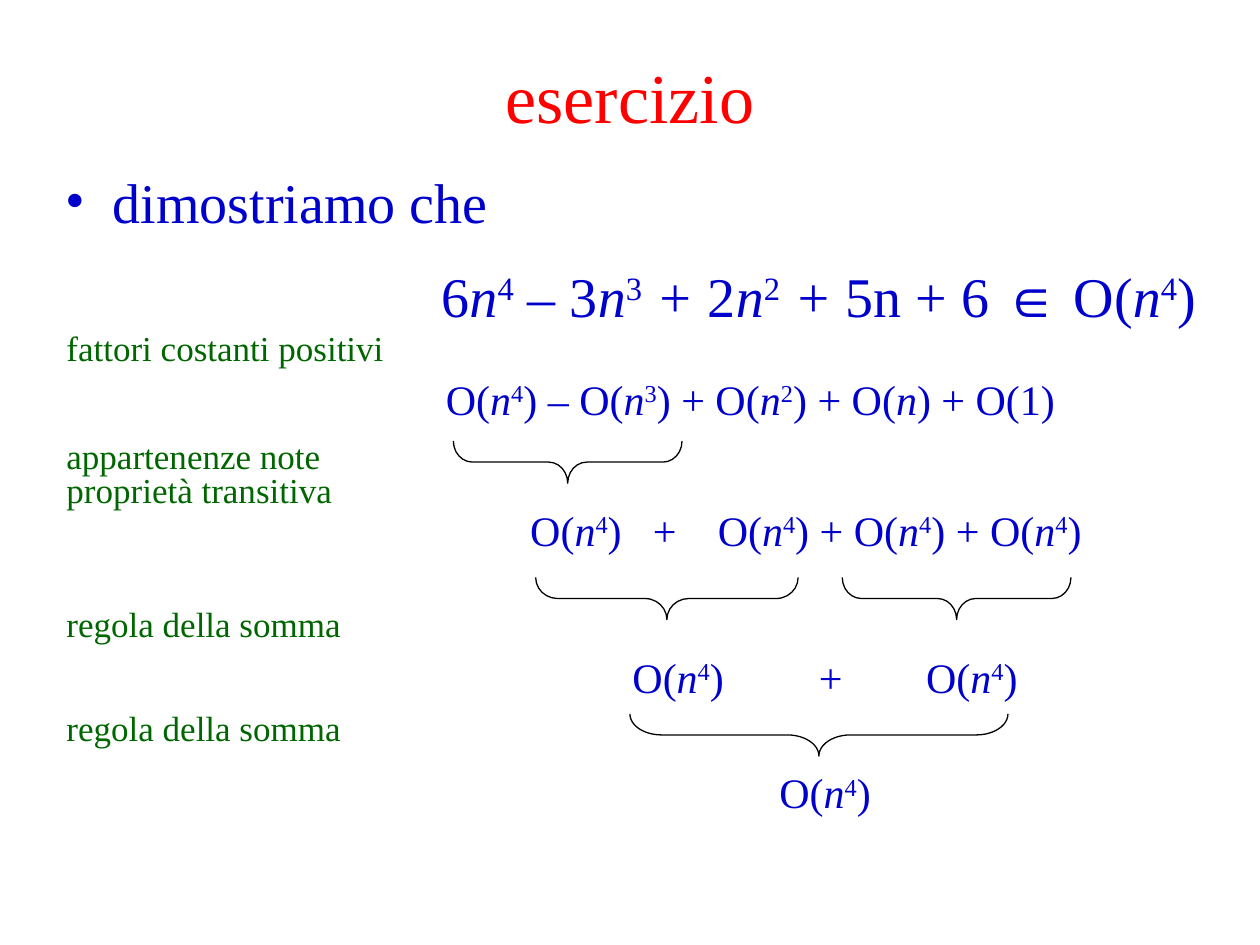
import pptx
import pptx.dml.color
import pptx.enum.shapes
import pptx.enum.text
import pptx.oxml.ns
import pptx.util
from lxml import etree

Cm, Pt = pptx.util.Cm, pptx.util.Pt
ALIGN = pptx.enum.text.PP_ALIGN

COLORS = {"title": "FF0000", "formula": "0000CC", "note": "006600", "brace": "000000"}
FONT = "Times New Roman"
TITLE = "esercizio"
STATEMENT = "dimostriamo che"
CLAIM = "6|n^4| – 3|n^3| + |2|n^2| + |5n + 6 |∈| O(|n^4|)"
ITALIC = ("n", " + ")

# left, top, width, tab stops, text
FORMULAS = [
    (8.74, 7.51, 12.78, (), "O(|n^4|) – O(|n^3|) + O(|n^2|) + O(|n|) + O(1)"),
    (10.44, 10.16, 11.63, (2.47, 3.78), "O(|n^4|)\t+\tO(|n^4|) + O(|n^4|) + O(|n^4|)"),
    (12.5, 13.12, 8.26, (3.76, 5.92), "O(|n^4|)\t+\tO(|n^4|)"),
    (15.46, 15.45, 2.34, (), "O(|n^4|)"),
]
# top, height, line spacing, lines
NOTES = [
    (6.56, 1.02, 0.9, ["fattori costanti positivi"]),
    (8.93, 1.45, 0.6, ["appartenenze note", "proprietà transitiva"]),
    (12.12, 1.02, 0.9, ["regola della somma"]),
    (14.22, 1.02, 0.9, ["regola della somma"]),
]
# left, top, length
BRACES = [(9.14, 8.89, 4.61), (10.8, 11.64, 5.29), (16.98, 11.64, 4.61), (12.7, 14.39, 7.62)]
BRACE_DEPTH = 0.85


def rgb(name):
    """Return the named colour."""
    return pptx.dml.color.RGBColor.from_string(COLORS[name])


def add_element(parent, tag, **attributes):
    """Append a drawing element with its attributes."""
    element = etree.SubElement(parent, pptx.oxml.ns.qn(tag))
    for key, value in attributes.items():
        element.set(key, str(value))
    return element


def add_run(paragraph, text, size, color, italic=False, superscript=False):
    """Add one formatted run."""
    run = paragraph.add_run()
    run.text = text
    run.font.size = Pt(size)
    run.font.name = "Arial" if text == "∈" else FONT
    run.font.color.rgb = rgb(color)
    run.font.italic = italic
    if superscript:
        run.font._element.set("baseline", "30000")


def add_formula(paragraph, formula, size):
    """Add a formula whose parts are split by bars and whose powers follow a caret."""
    for part in formula.split("|"):
        base, _, power = part.partition("^")
        add_run(paragraph, base, size, "formula", italic=base in ITALIC)
        if power:
            add_run(paragraph, power, size, "formula", superscript=True)


def place(shape, left, top, width, height):
    """Move and size a shape given in centimetres."""
    shape.left, shape.top, shape.width, shape.height = map(Cm, (left, top, width, height))


def prepare_frame(shape, anchor):
    """Wrap the text at a fixed size and return its frame."""
    frame = shape.text_frame
    frame.word_wrap = True
    frame.auto_size = pptx.enum.text.MSO_AUTO_SIZE.NONE
    frame.vertical_anchor = anchor
    return frame


def add_text_box(slide, left, top, width, height):
    """Add a top-anchored text box and return its frame."""
    box = slide.shapes.add_textbox(Cm(left), Cm(top), Cm(width + 0.3), Cm(height))
    return prepare_frame(box, pptx.enum.text.MSO_ANCHOR.TOP)


def fill_title(slide):
    """Write the slide title."""
    place(slide.shapes.title, 0, 1.07, 25.4, 1.7)
    frame = prepare_frame(slide.shapes.title, pptx.enum.text.MSO_ANCHOR.MIDDLE)
    paragraph = frame.paragraphs[0]
    paragraph.alignment = ALIGN.CENTER
    add_run(paragraph, TITLE, 40, "title")


def fill_body(slide):
    """Write the bulleted statement and the claim below it."""
    body = slide.placeholders[1]
    place(body, 1.07, 2.97, 23.29, 13.97)
    frame = prepare_frame(body, pptx.enum.text.MSO_ANCHOR.TOP)
    statement, claim = frame.paragraphs[0], frame.add_paragraph()
    for paragraph, space in ((statement, 0), (claim, 8)):
        properties = paragraph._p.get_or_add_pPr()
        properties.set("marL", str(Cm(0.95)))
        properties.set("indent", str(-Cm(0.95)))
        if paragraph is statement:
            color = add_element(properties, "a:buClr")
            add_element(color, "a:srgbClr", val=COLORS["formula"])
            add_element(properties, "a:buFont", typeface=FONT)
            add_element(properties, "a:buChar", char="•")
        else:
            add_element(properties, "a:buNone")
        paragraph.line_spacing = 1.2
        paragraph.space_before = Pt(space)
    add_run(statement, STATEMENT, 32, "formula")
    claim.alignment = ALIGN.RIGHT
    add_formula(claim, CLAIM, 32)


def add_formulas(slide):
    """Add the steps of the proof."""
    for left, top, width, tabs, formula in FORMULAS:
        paragraph = add_text_box(slide, left, top, width, 1.17).paragraphs[0]
        if tabs:
            tab_list = add_element(paragraph._p.get_or_add_pPr(), "a:tabLst")
            for position in tabs:
                add_element(tab_list, "a:tab", pos=Cm(position), algn="l")
        paragraph.line_spacing = 0.9
        add_formula(paragraph, formula, 24)


def add_notes(slide):
    """Add the reasons beside the steps."""
    for top, height, spacing, lines in NOTES:
        frame = add_text_box(slide, 1.09, top, 6.9, height)
        for index, line in enumerate(lines):
            paragraph = frame.add_paragraph() if index else frame.paragraphs[0]
            paragraph.line_spacing = spacing
            paragraph.space_before = Pt(5 if index else 0)
            add_run(paragraph, line, 20, "note")


def add_braces(slide):
    """Add the braces that open upwards, turned from left braces."""
    for left, top, length in BRACES:
        brace = slide.shapes.add_shape(
            pptx.enum.shapes.MSO_SHAPE.LEFT_BRACE,
            Cm(left + (length - BRACE_DEPTH) / 2), Cm(top - (length - BRACE_DEPTH) / 2),
            Cm(BRACE_DEPTH), Cm(length))
        brace.rotation = 270
        brace.adjustments[0] = length / 12 / BRACE_DEPTH
        brace.shadow.inherit = False
        brace.fill.background()
        brace.line.color.rgb = rgb("brace")
        brace.line.width = Pt(0.75)


def main():
    """Build and save the slide."""
    presentation = pptx.Presentation()
    presentation.slide_width, presentation.slide_height = Cm(25.4), Cm(19.05)
    slide = presentation.slides.add_slide(presentation.slide_layouts[1])
    fill_title(slide)
    fill_body(slide)
    add_braces(slide)
    add_formulas(slide)
    add_notes(slide)
    presentation.save("out.pptx")


if __name__ == "__main__":
    main()
